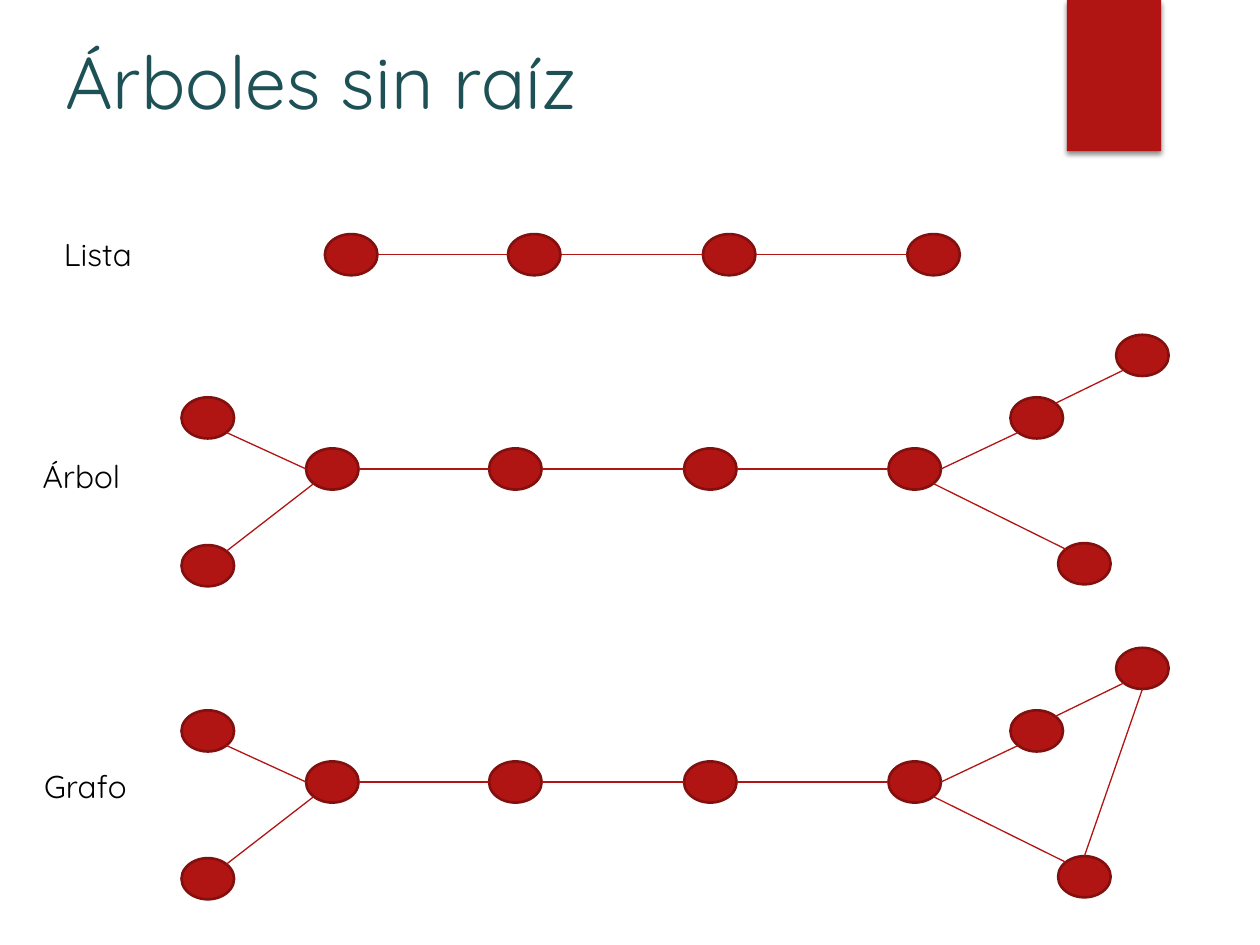
from dataclasses import dataclass
from enum import Enum
from itertools import pairwise
from math import sqrt

from lxml.etree import SubElement
from pptx import Presentation
from pptx.dml.color import RGBColor
from pptx.enum.shapes import MSO_CONNECTOR, MSO_SHAPE
from pptx.enum.text import MSO_ANCHOR
from pptx.oxml.ns import qn
from pptx.shapes.base import BaseShape
from pptx.slide import Slide
from pptx.util import Cm, Pt


@dataclass(frozen=True)
class Theme:
    font: str = "Quicksand"
    title_size: float = 42
    label_size: float = 18
    title_color: str = "1E5155"
    label_color: str = "000000"
    accent: str = "B01513"
    outline: str = "82100E"
    shadow: str = "000000"
    outline_width: float = 1.5
    edge_width: float = 0.75
    node_width: float = 1.06
    node_height: float = 0.83


@dataclass(frozen=True)
class Label:
    text: str
    left: float
    top: float
    width: float
    height: float = 1.03


@dataclass(frozen=True)
class Node:
    left: float
    top: float


@dataclass(frozen=True)
class Edge:
    start: str
    start_site: "Site"
    end: str
    end_site: "Site"


@dataclass(frozen=True)
class Diagram:
    label: Label
    nodes: dict[str, Node]
    edges: list[Edge]
    shift_x: float = 0
    shift_y: float = 0


DIAGONAL = sqrt(0.5)


class Site(Enum):
    TOP = (0, -1)
    LEFT = (-1, 0)
    BOTTOM = (0, 1)
    RIGHT = (1, 0)
    TOP_LEFT = (-DIAGONAL, -DIAGONAL)
    TOP_RIGHT = (DIAGONAL, -DIAGONAL)
    BOTTOM_LEFT = (-DIAGONAL, DIAGONAL)
    BOTTOM_RIGHT = (DIAGONAL, DIAGONAL)


THEME = Theme()
CHAIN_NODES = {
    "first": Node(6.17, 9.04),
    "second": Node(9.86, 9.04),
    "third": Node(13.79, 9.04),
    "fourth": Node(17.91, 9.04),
}
CHAIN_EDGES = [Edge(start, Site.RIGHT, end, Site.LEFT) for start, end in pairwise(CHAIN_NODES)]
TREE_NODES = CHAIN_NODES | {
    "upper_left": Node(3.66, 8.01),
    "lower_left": Node(3.66, 10.99),
    "upper_right": Node(20.37, 8.01),
    "far_right": Node(22.5, 6.75),
    "lower_right": Node(21.33, 10.95),
}
TREE_EDGES = CHAIN_EDGES + [
    Edge("upper_left", Site.BOTTOM_RIGHT, "first", Site.LEFT),
    Edge("lower_left", Site.TOP_RIGHT, "first", Site.BOTTOM_LEFT),
    Edge("fourth", Site.RIGHT, "upper_right", Site.BOTTOM_LEFT),
    Edge("fourth", Site.BOTTOM_RIGHT, "lower_right", Site.TOP_LEFT),
    Edge("upper_right", Site.TOP_RIGHT, "far_right", Site.BOTTOM_LEFT),
]
CYCLE_EDGE = Edge("lower_right", Site.TOP, "far_right", Site.BOTTOM)
TITLE = Label("Árboles sin raíz", 1.07, 0.61, 22.86, 3.18)
DIAGRAMS = [
    Diagram(Label("Lista", 1.04, 4.62, 4.01), CHAIN_NODES, CHAIN_EDGES, 0.38, -4.32),
    Diagram(Label("Árbol", 0.61, 9.09, 2.87), TREE_NODES, TREE_EDGES),
    Diagram(Label("Grafo", 0.64, 15.34, 3.02), TREE_NODES, TREE_EDGES + [CYCLE_EDGE], shift_y=6.31),
]


def color(value: str) -> RGBColor:
    return RGBColor.from_string(value)


def add_label(slide: Slide, label: Label, size: float, text_color: str) -> None:
    shape = slide.shapes.add_textbox(Cm(label.left), Cm(label.top), Cm(label.width), Cm(label.height))
    shape.text_frame.word_wrap = True
    shape.text_frame.vertical_anchor = MSO_ANCHOR.TOP
    run = shape.text_frame.paragraphs[0].add_run()
    run.text = label.text
    run.font.name = THEME.font
    run.font.size = Pt(size)
    run.font.color.rgb = color(text_color)


def add_filled_shape(
    slide: Slide, kind: MSO_SHAPE, left: float, top: float, width: float, height: float
) -> BaseShape:
    shape = slide.shapes.add_shape(kind, Cm(left), Cm(top), Cm(width), Cm(height))
    shape.shadow.inherit = False
    shape.fill.solid()
    shape.fill.fore_color.rgb = color(THEME.accent)
    return shape


def add_ribbon(slide: Slide) -> None:
    shape = add_filled_shape(slide, MSO_SHAPE.RECTANGLE, 21.51, 0, 1.9, 3.05)
    shape.line.fill.background()
    effects = shape.element.spPr.find(qn("a:effectLst"))
    shadow = SubElement(
        effects, qn("a:outerShdw"), blurRad=str(Pt(3)), dist=str(Pt(2)), dir="5400000", rotWithShape="0"
    )
    shadow_color = SubElement(shadow, qn("a:srgbClr"), val=THEME.shadow)
    SubElement(shadow_color, qn("a:alpha"), val="45000")


def add_node(slide: Slide, node: Node) -> None:
    shape = add_filled_shape(
        slide, MSO_SHAPE.OVAL, node.left, node.top, THEME.node_width, THEME.node_height
    )
    shape.line.color.rgb = color(THEME.outline)
    shape.line.width = Pt(THEME.outline_width)


def site_point(node: Node, site: Site) -> tuple[Cm, Cm]:
    across, down = site.value
    return (
        Cm(node.left + THEME.node_width * (1 + across) / 2),
        Cm(node.top + THEME.node_height * (1 + down) / 2),
    )


def add_edge(slide: Slide, nodes: dict[str, Node], edge: Edge) -> None:
    connector = slide.shapes.add_connector(
        MSO_CONNECTOR.STRAIGHT,
        *site_point(nodes[edge.start], edge.start_site),
        *site_point(nodes[edge.end], edge.end_site),
    )
    connector.line.color.rgb = color(THEME.accent)
    connector.line.width = Pt(THEME.edge_width)
    SubElement(connector.element.spPr, qn("a:effectLst"))


def add_diagram(slide: Slide, diagram: Diagram) -> None:
    nodes = {
        name: Node(node.left + diagram.shift_x, node.top + diagram.shift_y)
        for name, node in diagram.nodes.items()
    }
    for node in nodes.values():
        add_node(slide, node)
    for edge in diagram.edges:
        add_edge(slide, nodes, edge)
    add_label(slide, diagram.label, THEME.label_size, THEME.label_color)


def main() -> None:
    """Build the slide on trees without a root."""
    presentation = Presentation()
    presentation.slide_width = Cm(25.4)
    presentation.slide_height = Cm(19.05)
    slide = presentation.slides.add_slide(presentation.slide_layouts[6])
    add_ribbon(slide)
    add_label(slide, TITLE, THEME.title_size, THEME.title_color)
    for diagram in DIAGRAMS:
        add_diagram(slide, diagram)
    presentation.save("out.pptx")


if __name__ == "__main__":
    main()
